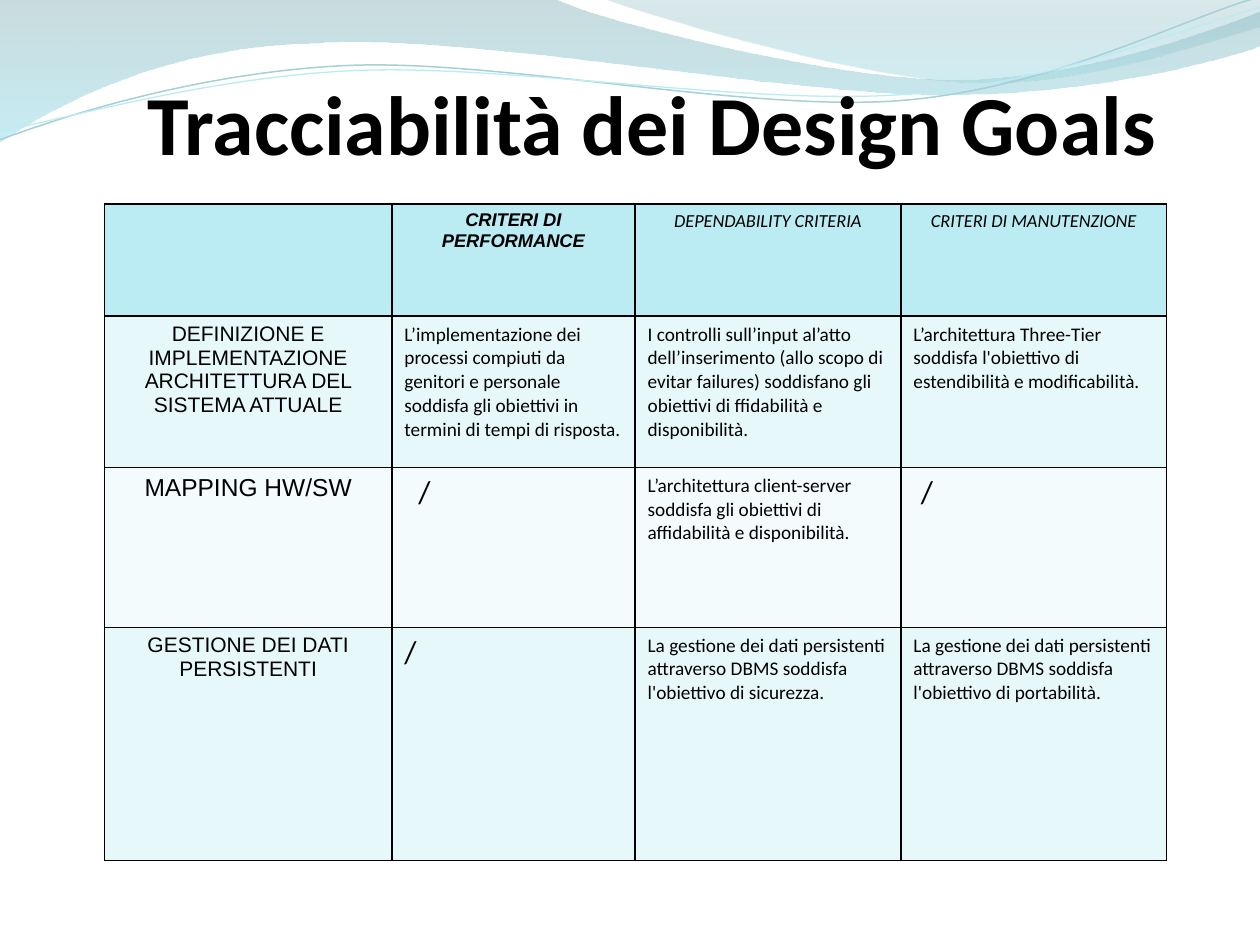
from lxml import etree
from pptx import Presentation
from pptx.dml.color import RGBColor
from pptx.enum.text import MSO_ANCHOR, MSO_AUTO_SIZE, PP_ALIGN
from pptx.oxml.ns import qn
from pptx.util import Inches, Pt

TOP, NOFIT = MSO_ANCHOR.TOP, MSO_AUTO_SIZE.NONE
LEFT, CENTER = PP_ALIGN.LEFT, PP_ALIGN.CENTER

# Content
TITLE = "Tracciabilità dei Design Goals"
HEAD = ["", "CRITERI DI PERFORMANCE", "DEPENDABILITY CRITERIA",
        "CRITERI DI MANUTENZIONE"]
ROWS = [
    ["DEFINIZIONE E IMPLEMENTAZIONE ARCHITETTURA DEL SISTEMA ATTUALE",
     "L’implementazione dei processi compiuti da genitori e personale "
     "soddisfa gli obiettivi in termini di tempi di risposta.",
     "I controlli sull’input al’atto dell’inserimento (allo scopo di evitar "
     "failures) soddisfano gli obiettivi di ffidabilità e disponibilità.",
     "L’architettura Three-Tier soddisfa l'obiettivo di estendibilità e "
     "modificabilità."],
    ["MAPPING HW/SW", "/",
     "L’architettura client-server soddisfa gli obiettivi di affidabilità e "
     "disponibilità.", "/"],
    ["GESTIONE DEI DATI PERSISTENTI", "/",
     "La gestione dei dati persistenti attraverso DBMS soddisfa l'obiettivo "
     "di sicurezza.",
     "La gestione dei dati persistenti attraverso DBMS soddisfa l'obiettivo "
     "di portabilità."],
]
INDENT = {(2, 1): 0.11, (2, 3): 0.06}  # slashes set in from the cell edge
WIDTHS = [2.28, 1.93, 2.11, 2.11]
HEIGHTS = [0.89, 1.2, 1.27, 1.85]

THEME = {
    "text": "000000", "line": "000000", "head": "BBECF4",
    "bands": ["E7F8FB", "F3FBFD"],
    "body": "Calibri", "label": "Arial",
    "title_pt": 48, "head_pt": 10.5, "label_pt": 12, "map_pt": 14,
    "body_pt": 11, "slash_pt": 18,
}

# Waves: a start, then lines (one point) and curves (three points)
BANDS = [
    ([(0, 0), [(4.4, -0.01)],
      [(4.76, 0.17), (6.64, 0.63), (7.58, 0.63)],
      [(8.53, 0.63), (9.58, 0.26), (10, 0.09)], [(10.01, 0.36)],
      [(9.83, 0.44), (8.7, 0.76), (7.46, 0.75)],
      [(6.22, 0.75), (3.82, 0.28), (2.57, 0.34)],
      [(1.29, 0.36), (0.46, 0.83), (-0.01, 1.13)], [(0, 0)]],
     [(0, "86B2B9", 45), (1, "9BE0EC", 55)]),
    ([(4.79, -0.01), [(5.09, 0.11), (6.82, 0.62), (7.69, 0.65)],
      [(8.56, 0.69), (9.61, 0.32), (10, 0.21)], [(10, 0)],
      [(4.79, -0.01)]],
     [(0, "84B3BB", 30), (0.8, "9BD7E1", 45)]),
]
LINES = [
    ([(0, 1.11), [(0.48, 0.93), (1.58, 0.57), (2.77, 0.52)],
      [(3.95, 0.47), (5.93, 0.89), (7.13, 0.8)],
      [(8.33, 0.71), (9.38, 0.15), (9.98, -0.02)]], "A5D0D7", 0.85),
    ([(0, 1.04), [(0.47, 0.96), (1.64, 0.61), (2.83, 0.56)],
      [(4.03, 0.51), (5.97, 0.84), (7.17, 0.75)],
      [(8.36, 0.67), (9.41, 0.21), (10, 0.06)]], "BBECF4", 0.75),
]


def color(code):
    return RGBColor.from_string(code)


def draw(shapes, route, close):
    """Outline a route, then bend each group of three points to a curve."""
    start, *parts = route
    pts = [(Inches(x), Inches(y)) for part in parts for x, y in part]
    form = shapes.build_freeform(Inches(start[0]), Inches(start[1]))
    form.add_line_segments(pts, close=close)
    shape = form.convert_to_shape()
    shape.shadow.inherit = False
    legs = iter(list(shape._element.iter(qn("a:lnTo"))))
    for part in parts:
        group = [next(legs) for point in part]
        if len(group) == 3:
            first, *rest = group
            first.tag = qn("a:cubicBezTo")
            for leg in rest:
                first.append(leg[0])
                leg.getparent().remove(leg)
    return shape


def blend(shape, stops):
    shape.line.fill.background()
    shape.fill.gradient()
    shape.fill.gradient_angle = 270
    for stop, (pos, code, alpha) in zip(shape.fill.gradient_stops, stops):
        stop.position = pos
        stop.color.rgb = color(code)
    tints = shape.fill._xPr.iter(qn("a:srgbClr"))
    for tint, (pos, code, alpha) in zip(tints, stops):
        etree.SubElement(tint, qn("a:alpha"), val=str(alpha * 1000))


def style(para, face, size, align, bold=False, italic=False):
    para.alignment = align
    for run in para.runs:
        font = run.font
        font.name, font.size = face, Pt(size)
        font.bold, font.italic = bold, italic
        font.color.rgb = color(THEME["text"])


def border(cell):
    props = cell._tc.get_or_add_tcPr()
    for side in "LRTB":
        line = etree.SubElement(props, qn("a:ln" + side), w=str(Pt(1)))
        fill = etree.SubElement(line, qn("a:solidFill"))
        etree.SubElement(fill, qn("a:srgbClr"), val=THEME["line"])


def look(row, col, text):
    """Face, size, alignment, bold and italic of a cell."""
    if row == 0:
        first = col == 1
        face = THEME["label" if first else "body"]
        return face, THEME["head_pt"], CENTER, first, True
    if col == 0:
        size = THEME["map_pt" if row == 2 else "label_pt"]
        return THEME["label"], size, CENTER
    size = THEME["slash_pt" if text == "/" else "body_pt"]
    return THEME["body"], size, LEFT


def main():
    deck = Presentation()
    deck.slide_width, deck.slide_height = Inches(10), Inches(7.5)
    slide = deck.slides.add_slide(deck.slide_layouts[5])
    shapes = slide.shapes

    # Waves at the top
    for route, stops in BANDS:
        blend(draw(shapes, route, True), stops)
    for route, code, width in LINES:
        wave = draw(shapes, route, False)
        wave.fill.background()
        wave.line.color.rgb = color(code)
        wave.line.width = Pt(width)

    # Title, in front of the waves
    title = shapes.title
    shapes._spTree.append(title._element)
    title.left, title.top = Inches(1), Inches(0.52)
    title.width, title.height = Inches(8.35), Inches(1.21)
    frame = title.text_frame
    frame.text = TITLE
    frame.auto_size, frame.word_wrap = NOFIT, False
    frame.vertical_anchor = TOP
    style(frame.paragraphs[0], THEME["body"], THEME["title_pt"], CENTER, True)

    # Table
    grid = [HEAD, *ROWS]
    table = shapes.add_table(
        len(grid), len(HEAD), Inches(0.83), Inches(1.62),
        Inches(sum(WIDTHS)), Inches(sum(HEIGHTS))).table
    table.first_row = table.horz_banding = False
    for col, width in zip(table.columns, WIDTHS):
        col.width = Inches(width)
    for row, height in zip(table.rows, HEIGHTS):
        row.height = Inches(height)
    for r, texts in enumerate(grid):
        shade = THEME["bands"][(r - 1) % 2] if r else THEME["head"]
        for c, text in enumerate(texts):
            cell = table.cell(r, c)
            border(cell)
            cell.fill.solid()
            cell.fill.fore_color.rgb = color(shade)
            cell.text_frame.text = text
            para = cell.text_frame.paragraphs[0]
            style(para, *look(r, c, text))
            if (r, c) in INDENT:
                props = para._p.get_or_add_pPr()
                props.set("marL", str(Inches(INDENT[r, c])))

    deck.save("out.pptx")


if __name__ == "__main__":
    main()
